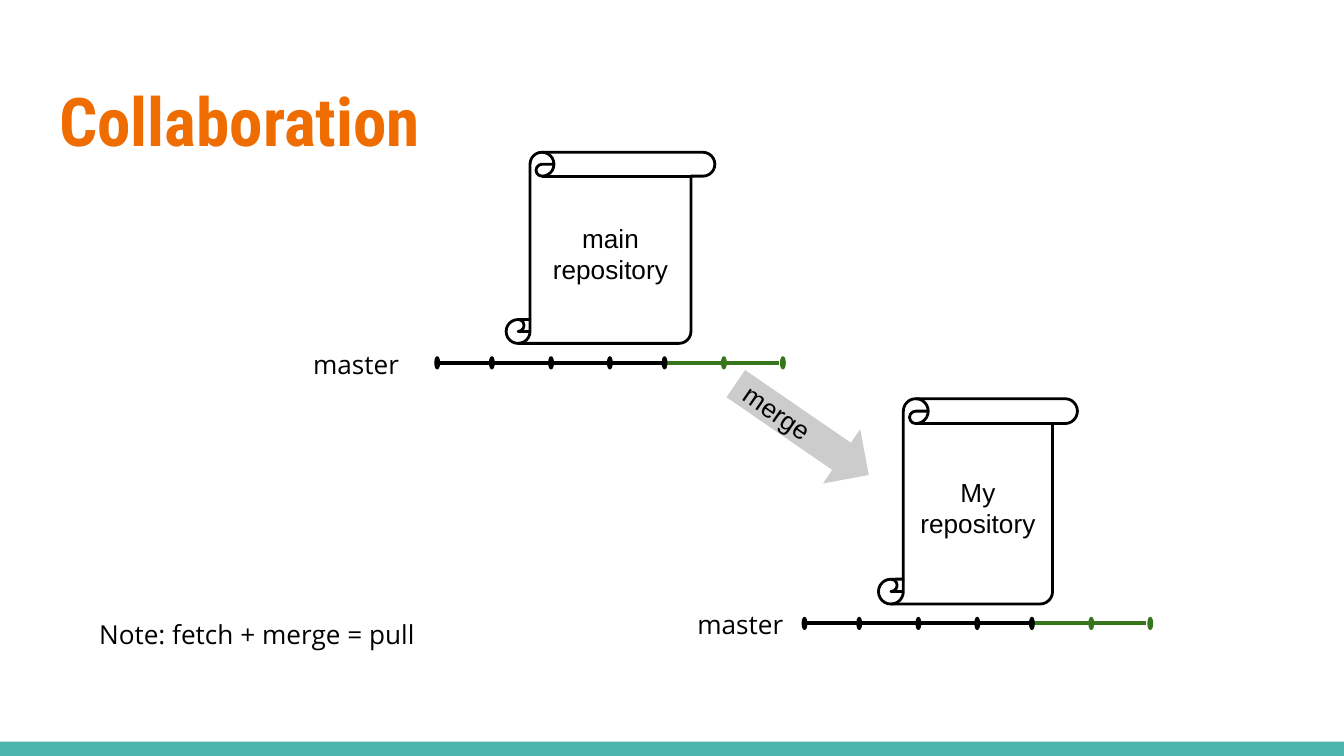
from pptx import Presentation
from pptx.dml.color import RGBColor
from pptx.enum.shapes import MSO_CONNECTOR, MSO_SHAPE
from pptx.enum.text import MSO_ANCHOR, MSO_AUTO_SIZE, PP_ALIGN
from pptx.oxml import parse_xml
from pptx.oxml.ns import nsdecls
from pptx.util import Pt

BLACK, GREEN = "000000", "38761D"


def write(shape, text, font="Arial", size=14, color=BLACK, bold=False,
          align=PP_ALIGN.LEFT, anchor=MSO_ANCHOR.TOP):
    frame = shape.text_frame
    frame.auto_size = MSO_AUTO_SIZE.NONE
    frame.word_wrap = True
    frame.vertical_anchor = anchor
    frame.margin_left = frame.margin_right = Pt(7.2)
    frame.margin_top = frame.margin_bottom = Pt(7.2)
    paragraph = frame.paragraphs[0]
    paragraph.alignment = align
    run = paragraph.add_run()
    run.text = text
    run.font.name, run.font.size, run.font.bold = font, Pt(size), bold
    run.font.color.rgb = RGBColor.from_string(color)


def add_shape(kind, left, top, width, height, fill=None, line=None, weight=0.75):
    shape = slide.shapes.add_shape(kind, Pt(left), Pt(top), Pt(width), Pt(height))
    shape.shadow.inherit = False
    for paint, color in ((shape.fill, fill), (shape.line.fill, line)):
        if color:
            paint.solid()
            paint.fore_color.rgb = RGBColor.from_string(color)
        else:
            paint.background()
    if line:
        shape.line.width = Pt(weight)
    return shape


presentation = Presentation()
presentation.slide_width, presentation.slide_height = Pt(720), Pt(405)
slide = presentation.slides.add_slide(presentation.slide_layouts[5])

add_shape(MSO_SHAPE.RECTANGLE, 0, 397.3, 720, 7.7, fill="4DB6AC")

title = slide.shapes.title
title.left, title.top, title.width, title.height = Pt(24.5), Pt(35.3), Pt(671), Pt(55.4)
write(title, "Collaboration", font="Roboto Condensed", size=36, color="EF6C00", bold=True)

for text, left, top, width, height in (
    ("main repository", 271.2, 81.6, 111.8, 102.4),
    ("My repository", 470.6, 213.6, 106.6, 110),
):
    scroll = add_shape(MSO_SHAPE.VERTICAL_SCROLL, left, top, width, height,
                       line=BLACK, weight=1.5)
    write(scroll, text, align=PP_ALIGN.CENTER, anchor=MSO_ANCHOR.MIDDLE)

line_length, dot_width, dot_height = 29.3, 2.4, 6.4
commits = (
    (0, 29.3, BLACK), (31.7, 61, BLACK), (63.4, 92.5, BLACK),
    (92.5, 121.8, BLACK), (124.4, 153.6, GREEN), (154.9, 185.2, GREEN),
)
for left, middle in ((233, 194.4), (429.8, 334)):
    dots = [(0, BLACK)]
    for start, dot, color in commits:
        line = slide.shapes.add_connector(
            MSO_CONNECTOR.STRAIGHT, Pt(left + start), Pt(middle),
            Pt(left + start + line_length), Pt(middle))
        line.line.color.rgb = RGBColor.from_string(color)
        line.line.width = Pt(2.25)
        line._element.spPr.append(parse_xml(f"<a:effectLst {nsdecls('a')}/>"))
        dots.append((dot, color))
    for dot, color in dots:
        add_shape(MSO_SHAPE.OVAL, left + dot, middle - dot_height / 2,
                  dot_width, dot_height, fill=color, line=color)

arrow = add_shape(MSO_SHAPE.RIGHT_ARROW, 386.6, 212.4, 86.4, 35.3, fill="CCCCCC")
arrow.rotation = 34.5
write(arrow, "merge", anchor=MSO_ANCHOR.MIDDLE)

for text, left, top, width, height in (
    ("master", 160.6, 179.3, 63.4, 18.7),
    ("master", 366.5, 319, 63.4, 18.7),
    ("Note: fetch + merge = pull", 46, 324, 203.8, 31.7),
):
    label = slide.shapes.add_textbox(Pt(left), Pt(top), Pt(width), Pt(height))
    write(label, text, font="Open Sans")

presentation.save("out.pptx")
